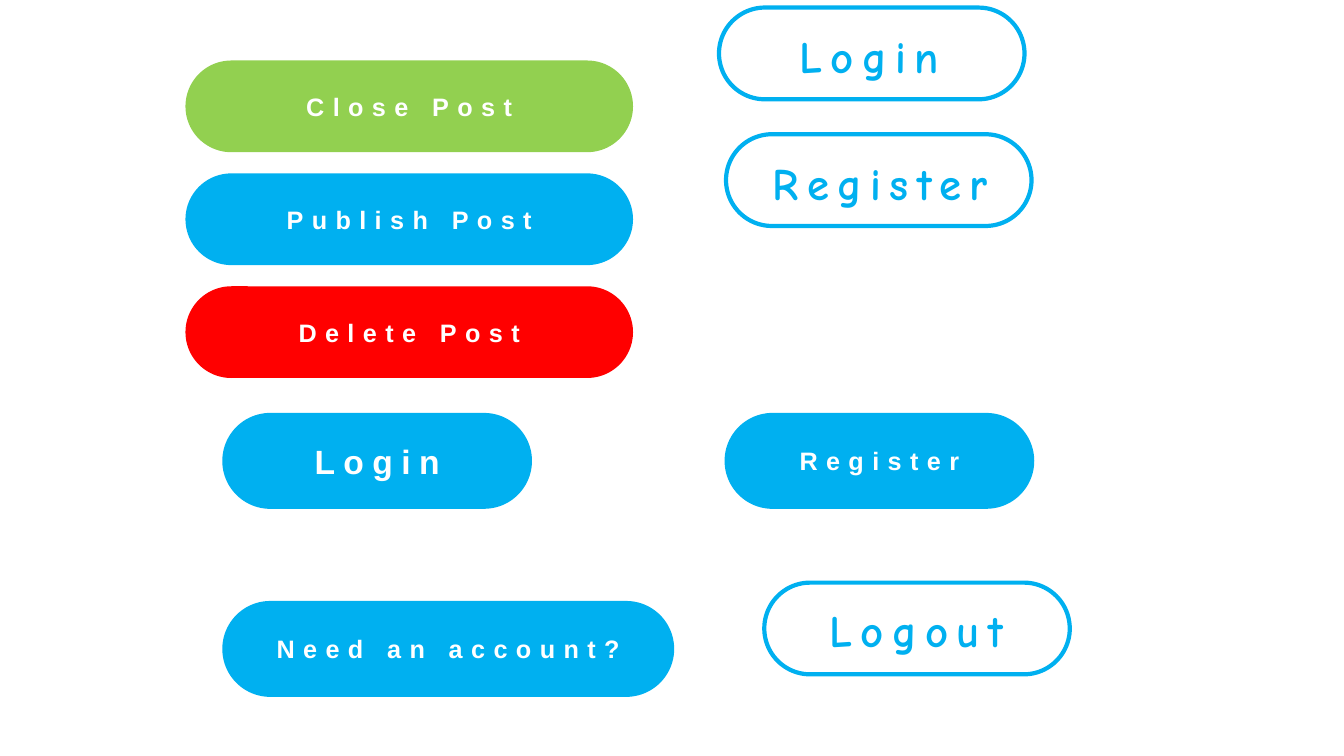
from dataclasses import dataclass

from pptx import Presentation
from pptx import util as u
from pptx.dml import color
from pptx.enum import shapes, text as t


@dataclass(frozen=True)
class Theme:
    """Colours, fonts and sizes shared by all buttons."""
    blue: str = "00B0F0"
    green: str = "92D050"
    red: str = "FF0000"
    white: str = "FFFFFF"
    plain: str = "Arial"
    casual: str = "Comic Neue"
    small: int = 18
    medium: int = 24
    large: int = 32
    spacing: int = 6
    border: int = 3


@dataclass(frozen=True)
class Box:
    """A rectangle in inches that yields smaller boxes by shares of its size."""
    left: float
    top: float
    width: float
    height: float

    def share(self, left, top, width, height):
        """Return the box at the given shares of this one."""
        return Box(self.left + left * self.width, self.top + top * self.height,
                   width * self.width, height * self.height)

    def inches(self):
        """Return the four lengths for python-pptx."""
        return [u.Inches(n) for n in (self.left, self.top, self.width, self.height)]


THEME = Theme()
SLIDE = Box(0, 0, 13.33, 7.5)
NARROW, WIDE, TALL = 3.03, 4.44, 0.91


def write(shape, words, font, size, ink, align=None, wrap=True):
    """Put one line of bold, letter-spaced text into a shape."""
    frame = shape.text_frame
    frame.word_wrap = wrap
    para = frame.paragraphs[0]
    para.alignment = align
    span = para.add_run()
    span.text = words
    span.font.name, span.font.size, span.font.bold = font, u.Pt(size), True
    span.font.color.rgb = color.RGBColor.from_string(ink)
    span._r.get_or_add_rPr().set("spc", str(THEME.spacing * 100))


def pill(page, box, fill=None, line=None):
    """Draw a fully rounded button body."""
    shape = page.shapes.add_shape(shapes.MSO_SHAPE.ROUNDED_RECTANGLE, *box.inches())
    shape.adjustments[0] = 0.5
    shape.shadow.inherit = False
    if fill:
        shape.fill.solid()
        shape.fill.fore_color.rgb = color.RGBColor.from_string(fill)
    else:
        shape.fill.background()
    if line:
        shape.line.color.rgb = color.RGBColor.from_string(line)
        shape.line.width = u.Pt(THEME.border)
    else:
        shape.line.fill.background()
    return shape


def solid_button(page, box, words, fill, line=None, size=THEME.small):
    """Draw a filled button with a centred label."""
    button = pill(page, box, fill, line)
    button.text_frame.vertical_anchor = t.MSO_ANCHOR.MIDDLE
    write(button, words, THEME.plain, size, THEME.white, t.PP_ALIGN.CENTER)


def outline_button(page, box, words, label_share):
    """Draw an outlined button with its label in a box of its own."""
    pill(page, box, line=THEME.blue)
    label = page.shapes.add_textbox(*box.share(*label_share).inches())
    write(label, words, THEME.casual, THEME.large, THEME.blue, wrap=False)


def post_actions(page, box):
    """Stack the post buttons at equal steps down the box."""
    height = TALL / box.height
    step = (1 - height) / 2
    actions = [("Close Post", THEME.green), ("Publish Post", THEME.blue),
               ("Delete Post", THEME.red)]
    for row, (words, fill) in enumerate(actions):
        solid_button(page, box.share(0, row * step, 1, height), words, fill)


def account_actions(page, box):
    """Place the filled account buttons within the box."""
    narrow, wide, height = NARROW / box.width, WIDE / box.width, TALL / box.height
    actions = [("Login", 0, 0, narrow, THEME.medium),
               ("Register", 1 - narrow, 0, narrow, THEME.small),
               ("Need an account?", 0, 1 - height, wide, THEME.small)]
    for words, left, top, width, size in actions:
        solid_button(page, box.share(left, top, width, height), words,
                     THEME.blue, THEME.blue, size)


def outlined_actions(page, box):
    """Place the outlined buttons down the box."""
    width, height = NARROW / box.width, TALL / box.height
    actions = [("Login", 0, 0, (0.23, 0.18, 0.58, 0.7)),
               ("Register", 0.02, 0.19, (0.12, 0.18, 0.81, 0.7)),
               ("Logout", 1 - width, 1 - height, (0.18, 0.17, 0.67, 1.3))]
    for words, left, top, label_share in actions:
        outline_button(page, box.share(left, top, width, height), words, label_share)


def main():
    """Build the slide and save the deck."""
    deck = Presentation()
    deck.slide_width, deck.slide_height = SLIDE.inches()[2:]
    page = deck.slides.add_slide(deck.slide_layouts[6])
    outlined_actions(page, SLIDE.share(0.535, 0.01, 0.261, 0.882))
    account_actions(page, SLIDE.share(0.167, 0.549, 0.601, 0.37))
    post_actions(page, SLIDE.share(0.138, 0.08, 0.333, 0.42))
    deck.save("out.pptx")


main()
